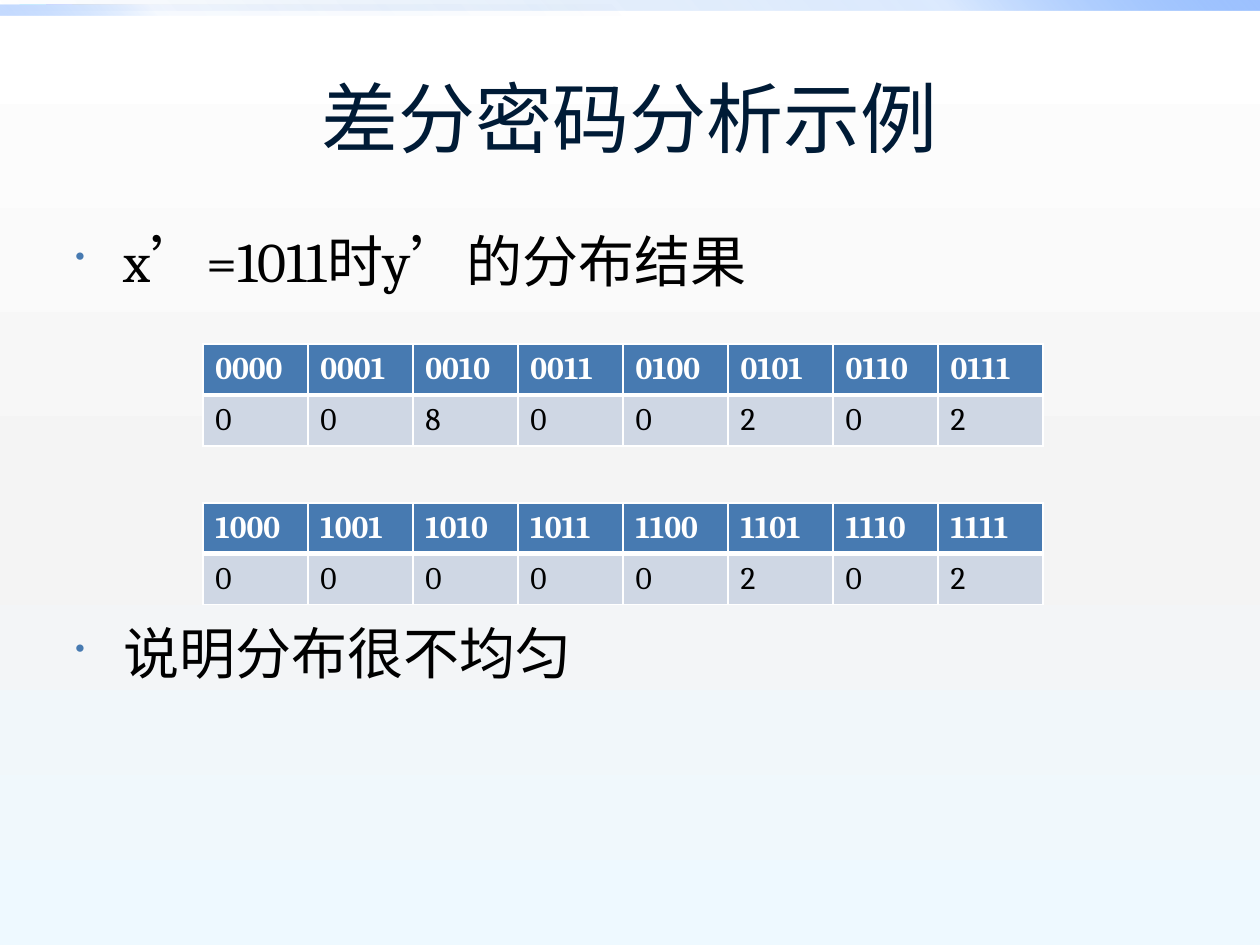
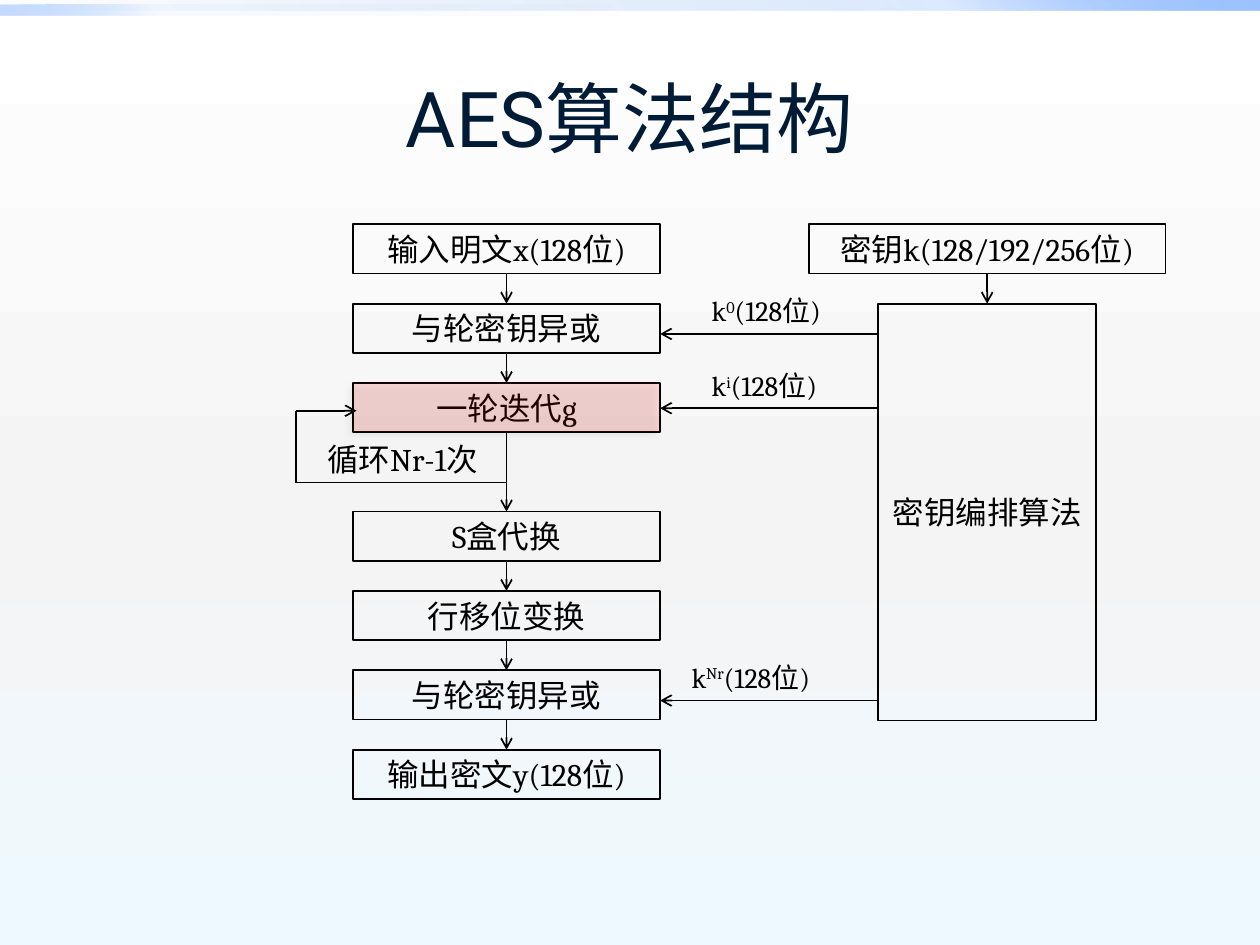
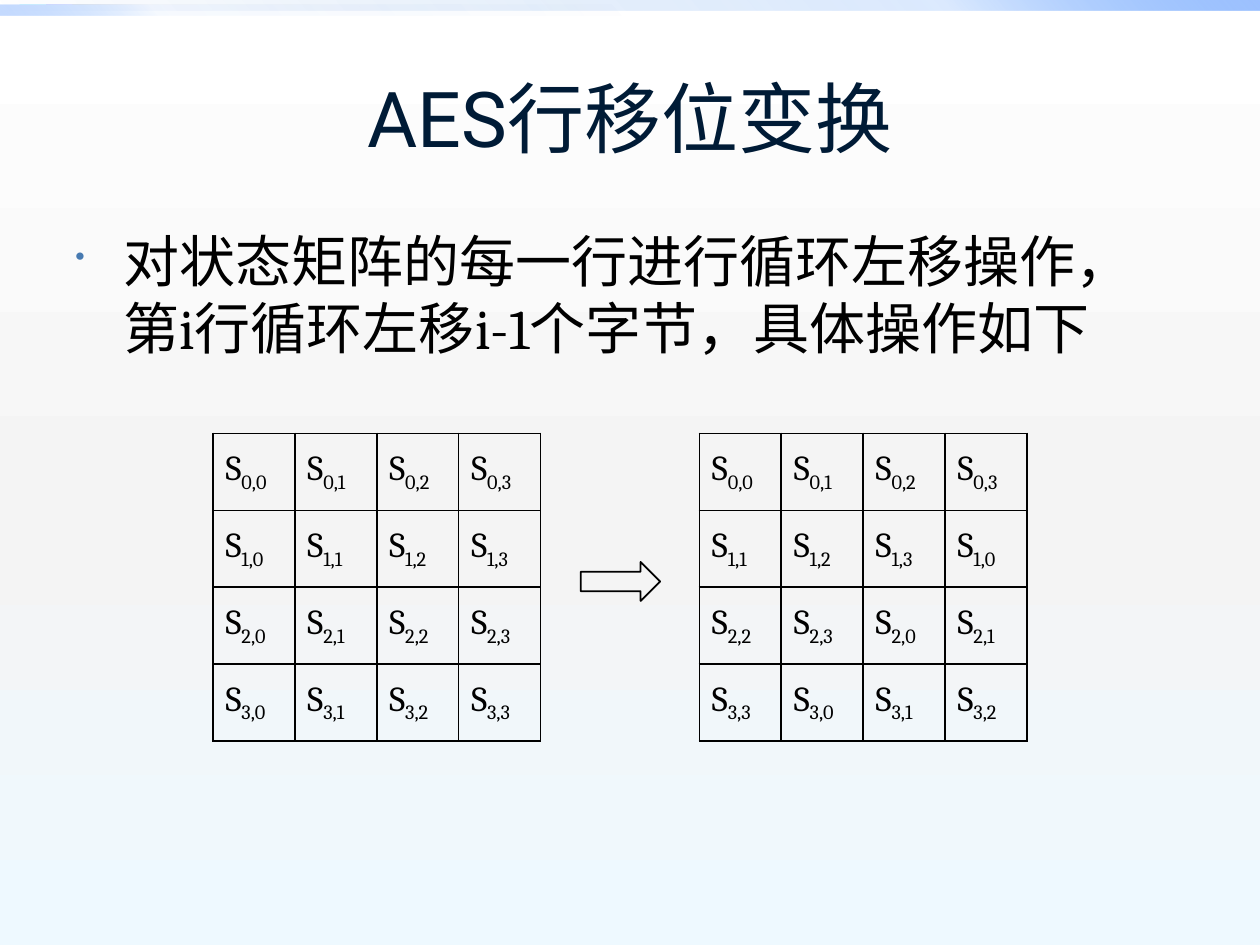
from lxml.etree import SubElement
from pptx import Presentation
from pptx.dml.color import RGBColor
from pptx.enum.lang import MSO_LANGUAGE_ID as LANG
from pptx.enum.shapes import MSO_CONNECTOR, MSO_SHAPE
from pptx.enum.text import MSO_ANCHOR as ANCHOR, PP_ALIGN as ALIGN
from pptx.oxml.ns import qn
from pptx.util import Inches, Pt

# Shared style
COLORS = {
    "title": "001B36", "text": "000000", "line": "000000", "white": "FFFFFF",
    "accent": "477AB1", "row": "CFD7E4", "highlight": "FF0000",
}
TITLE_FONT, BODY_FONT = "Roboto", "Cambria"
BACKGROUND = [(0, "FFFFFF", 100), (55, "F4F4F4", 100), (100, "EEF9FF", 100)]
# Each band: left, top, width, height, angle, stops (position, colour, opacity)
BANDS = [
    (0, 0, 10, 0.08, 315, [(0, "0058B7", 0), (75, "4F95FF", 20), (100, "9EC2FF", 100)]),
    (0, 0.04, 5, 0.08, 135, [(0, "0058B7", 0), (75, "4F95FF", 5), (100, "9EC2FF", 60)]),
]


def rgb(name):
    return RGBColor.from_string(COLORS[name])


def add(parent, tag, **attrs):
    """Append a DrawingML element with the given attributes."""
    return SubElement(parent, qn(tag), {k: str(v) for k, v in attrs.items()})


def add_color(parent, hex_color, opacity=100):
    color = add(parent, "a:srgbClr", val=hex_color)
    if opacity < 100:
        add(color, "a:alpha", val=opacity * 1000)


def set_gradient(fill, element, stops, angle):
    fill.gradient()
    grad = element.xpath(".//a:gradFill")[0]
    stop_list = grad.find(qn("a:gsLst"))
    for stop in list(stop_list):
        stop_list.remove(stop)
    for pos, color, opacity in stops:
        add_color(add(stop_list, "a:gs", pos=pos * 1000), color, opacity)
    grad.find(qn("a:lin")).set("ang", str(angle * 60000))


def write(tf, runs, size=18, color="text", font=BODY_FONT, bold=False,
          align=ALIGN.LEFT, bullet=False):
    """Write one paragraph; runs is a string or (text, baseline percent) pairs."""
    p = tf.paragraphs[0]
    p.alignment = align
    if bullet:
        pPr = p._p.get_or_add_pPr()
        pPr.set("marL", str(Inches(0.38)))
        pPr.set("indent", str(-Inches(0.38)))
        add_color(add(pPr, "a:buClr"), COLORS["accent"])
        add(pPr, "a:buSzPct", val=50000)
        add(pPr, "a:buChar", char="•")
    for text, baseline in [(runs, 0)] if isinstance(runs, str) else runs:
        r = p.add_run()
        r.text = text
        r.font.name, r.font.size, r.font.bold = font, Pt(size), bold
        r.font.color.rgb = rgb(color)
        r.font.language_id = LANG.SIMPLIFIED_CHINESE
        if baseline:
            r._r.get_or_add_rPr().set("baseline", str(baseline * 1000))


class Deck:
    def __init__(self):
        self.prs = Presentation()
        self.prs.slide_width, self.prs.slide_height = Inches(10), Inches(7.5)
        self.s = None
        master = self.prs.slide_master
        set_gradient(master.background.fill, master.element, BACKGROUND, 90)

    def slide(self, title):
        first = self.s is None
        self.s = self.prs.slides.add_slide(self.prs.slide_layouts[5])
        if first:
            self.master_bands()
        sp = self.s.shapes.title
        sp.left, sp.top, sp.width, sp.height = map(Inches, (0.5, 0.3, 9, 1.25))
        sp.text_frame.vertical_anchor = ANCHOR.MIDDLE
        write(sp.text_frame, title, size=44, color="title", font=TITLE_FONT,
              align=ALIGN.CENTER)

    def master_bands(self):
        """Draw the top bands and hand them to the slide master."""
        tree = self.prs.slide_master.element.cSld.spTree
        for i, (x, y, w, h, angle, stops) in enumerate(BANDS):
            sp = self.shape(x, y, w, h, line=False)
            set_gradient(sp.fill, sp.element, stops, angle)
            tree.insert(2 + i, sp.element)

    def shape(self, x, y, w, h, text=None, kind=MSO_SHAPE.RECTANGLE, line=True):
        sp = self.s.shapes.add_shape(kind, *map(Inches, (x, y, w, h)))
        sp.shadow.inherit = False
        sp.fill.background()
        if line:
            sp.line.color.rgb, sp.line.width = rgb("line"), Pt(1)
        else:
            sp.line.fill.background()
        if text:
            sp.text_frame.vertical_anchor = ANCHOR.MIDDLE
            write(sp.text_frame, text, align=ALIGN.CENTER)
        return sp

    def highlight(self, x, y, w, h):
        """Translucent overlay with a soft shadow."""
        sp = self.shape(x, y, w, h, line=False)
        sp.fill.solid()
        sp.fill.fore_color.rgb = rgb("highlight")
        add(sp.element.xpath(".//a:solidFill/a:srgbClr")[0], "a:alpha", val=13000)
        effects = sp.element.spPr.find(qn("a:effectLst"))
        shadow = add(effects, "a:outerShdw", blurRad=Pt(4), dist=Pt(3),
                     dir=135 * 60000, rotWithShape=0)
        add_color(shadow, COLORS["line"], 40)

    def text(self, x, y, w, h, runs, **fmt):
        tf = self.s.shapes.add_textbox(*map(Inches, (x, y, w, h))).text_frame
        tf.word_wrap = True
        write(tf, runs, **fmt)

    def bullet(self, y, h, runs):
        self.text(0.5, y, 9, h, runs, size=32, bullet=True)

    def line(self, x1, y1, x2, y2, arrow=True):
        cn = self.s.shapes.add_connector(MSO_CONNECTOR.STRAIGHT,
                                         *map(Inches, (x1, y1, x2, y2)))
        cn.line.color.rgb, cn.line.width = rgb("line"), Pt(1)
        if arrow:
            add(cn.element.spPr.find(qn("a:ln")), "a:tailEnd", type="arrow")
        add(cn.element.spPr, "a:effectLst")

    def table(self, x, y, w, h, rows, style):
        """Fill a table; style(row index) gives fill, border colour, widths, format."""
        tbl = self.s.shapes.add_table(len(rows), len(rows[0]),
                                      *map(Inches, (x, y, w, h))).table
        tbl.first_row = tbl.horz_banding = False
        for col in tbl.columns:
            col.width = Inches(w / len(rows[0]))
        for i, row in enumerate(rows):
            tbl.rows[i].height = Inches(h / len(rows))
            fill, border, widths, fmt = style(i)
            for j, runs in enumerate(row):
                cell = tbl.cell(i, j)
                cell.vertical_anchor = ANCHOR.MIDDLE
                write(cell.text_frame, runs, **fmt)
                tcPr = cell._tc.get_or_add_tcPr()
                for side, width in zip("LRTB", widths):
                    ln = add(tcPr, f"a:ln{side}", w=Pt(width))
                    add_color(add(ln, "a:solidFill"), COLORS[border])
                if fill:
                    cell.fill.solid()
                    cell.fill.fore_color.rgb = rgb(fill)
                else:
                    cell.fill.background()


def distribution_style(i):
    if i == 0:
        return "accent", "white", (1, 1, 1, 3), {"color": "white", "bold": True}
    return "row", "white", (1, 1, 3, 1), {}


def matrix_style(i):
    return None, "line", (1, 1, 1, 1), {"size": 20}


def difference_slide(deck):
    deck.slide("差分密码分析示例")
    deck.bullet(1.75, 0.7, "x’=1011时y’的分布结果")
    deck.bullet(4.86, 0.7, "说明分布很不均匀")
    counts = "0080020200000202"
    for start, y in ((8, 3.99), (0, 2.73)):
        header = [f"{n:04b}" for n in range(start, start + 8)]
        deck.table(1.61, y, 6.67, 0.81, [header, counts[start:start + 8]],
                   distribution_style)


def structure_slide(deck):
    deck.slide("AES算法结构")
    left, width, height, pitch = 2.8, 2.44, 0.39, 0.63
    right, center = left + width, left + width / 2
    first, after_loop = 1.78, 4.06

    # Encryption flow: the loop sits between the third and fourth steps
    steps = ["输入明文x(128位)", "与轮密钥异或", "一轮迭代g", "S盒代换",
             "行移位变换", "与轮密钥异或", "输出密文y(128位)"]
    tops = [first + i * pitch for i in range(3)]
    tops += [after_loop + i * pitch for i in range(4)]
    for label, y in zip(steps, tops):
        deck.shape(left, y, width, height, label)
    for y, next_y in zip(tops, tops[1:]):
        deck.line(center, y + height, center, next_y)

    # Key schedule
    sched_x, sched_w = 6.97, 1.73
    sched_mid = sched_x + sched_w / 2
    deck.shape(6.42, first, 2.83, height, "密钥k(128/192/256位)")
    deck.shape(sched_x, tops[1], sched_w, 3.31, "密钥编排算法")
    deck.line(sched_mid, first + height, sched_mid, tops[1])

    # Round keys: index, arrow height, label box
    for index, y, x, top, w in (("i", 3.24, 5.55, 2.88, 1.1),
                                ("Nr", 5.56, 5.39, 5.19, 1.5),
                                ("0", 2.65, 5.55, 2.28, 1.1)):
        deck.line(sched_x, y, right, y)
        deck.text(x, top, w, 0.37, [("k", 0), (index, 30), ("(128位)", 0)], size=16)

    # Loop around the round function
    loop_x, loop_top, loop_bottom = 2.35, 3.26, 3.83
    deck.highlight(left, tops[2], width, height)
    deck.line(center, loop_bottom, loop_x, loop_bottom, arrow=False)
    deck.line(loop_x, loop_bottom, loop_x, loop_top, arrow=False)
    deck.line(loop_x, loop_top, 2.83, loop_top)
    deck.text(2.32, 3.44, 1.57, 0.4, "循环Nr-1次", align=ALIGN.RIGHT)


def shift_rows_slide(deck):
    deck.slide("AES行移位变换")
    deck.bullet(1.75, 1.3, "对状态矩阵的每一行进行循环左移操作，第i行循环左移i-1个字节，具体操作如下")
    # State before and after: row i moves left by i * shift bytes
    for x, shift in ((1.69, 0), (5.55, 1)):
        state = [[[("S", 0), (f"{i},{(j + i * shift) % 4}", -25)] for j in range(4)]
                 for i in range(4)]
        deck.table(x, 3.44, 2.6, 2.44, state, matrix_style)
    deck.shape(4.61, 4.46, 0.63, 0.31, kind=MSO_SHAPE.RIGHT_ARROW)


def main():
    deck = Deck()
    difference_slide(deck)
    structure_slide(deck)
    shift_rows_slide(deck)
    deck.prs.save("out.pptx")


if __name__ == "__main__":
    main()
